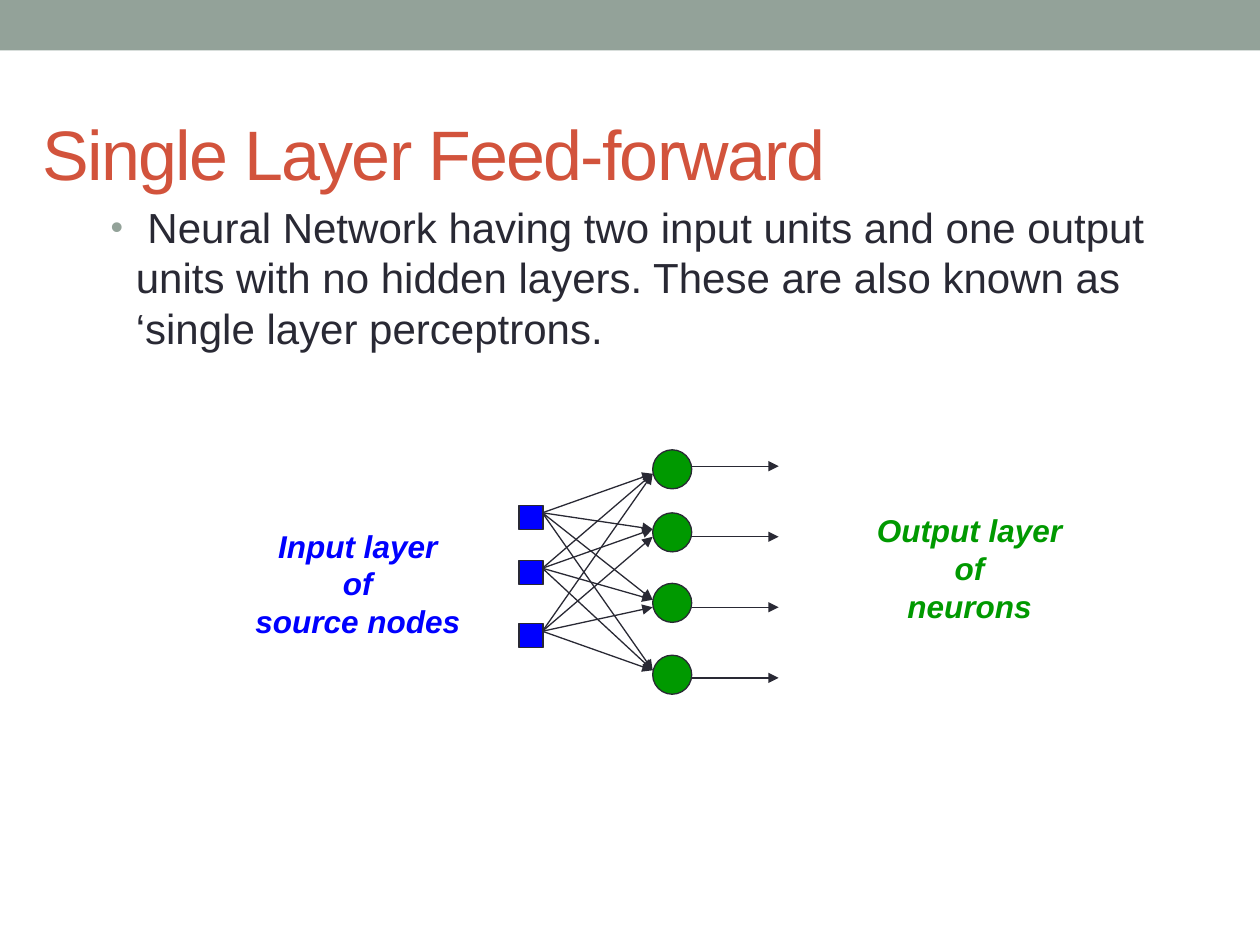
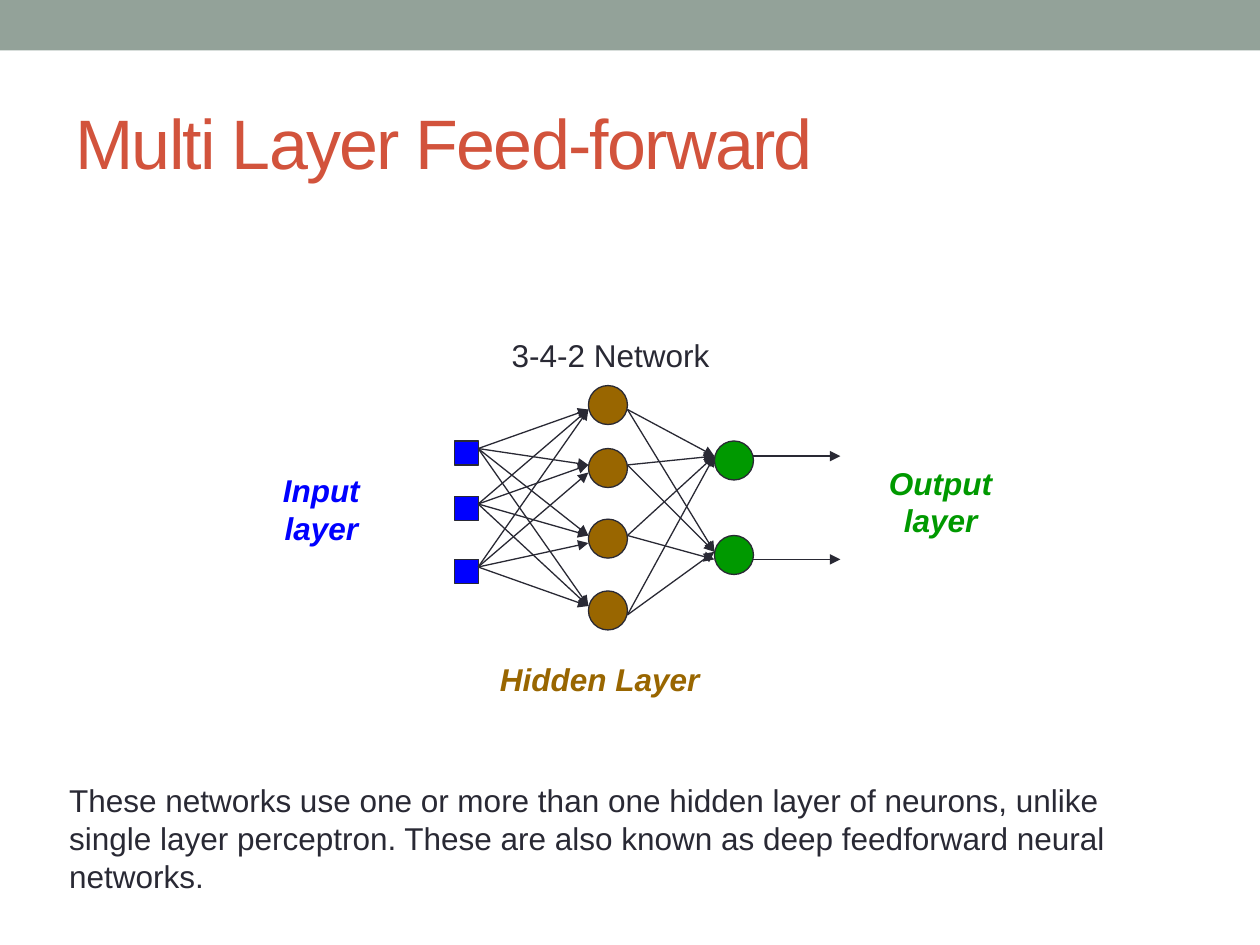
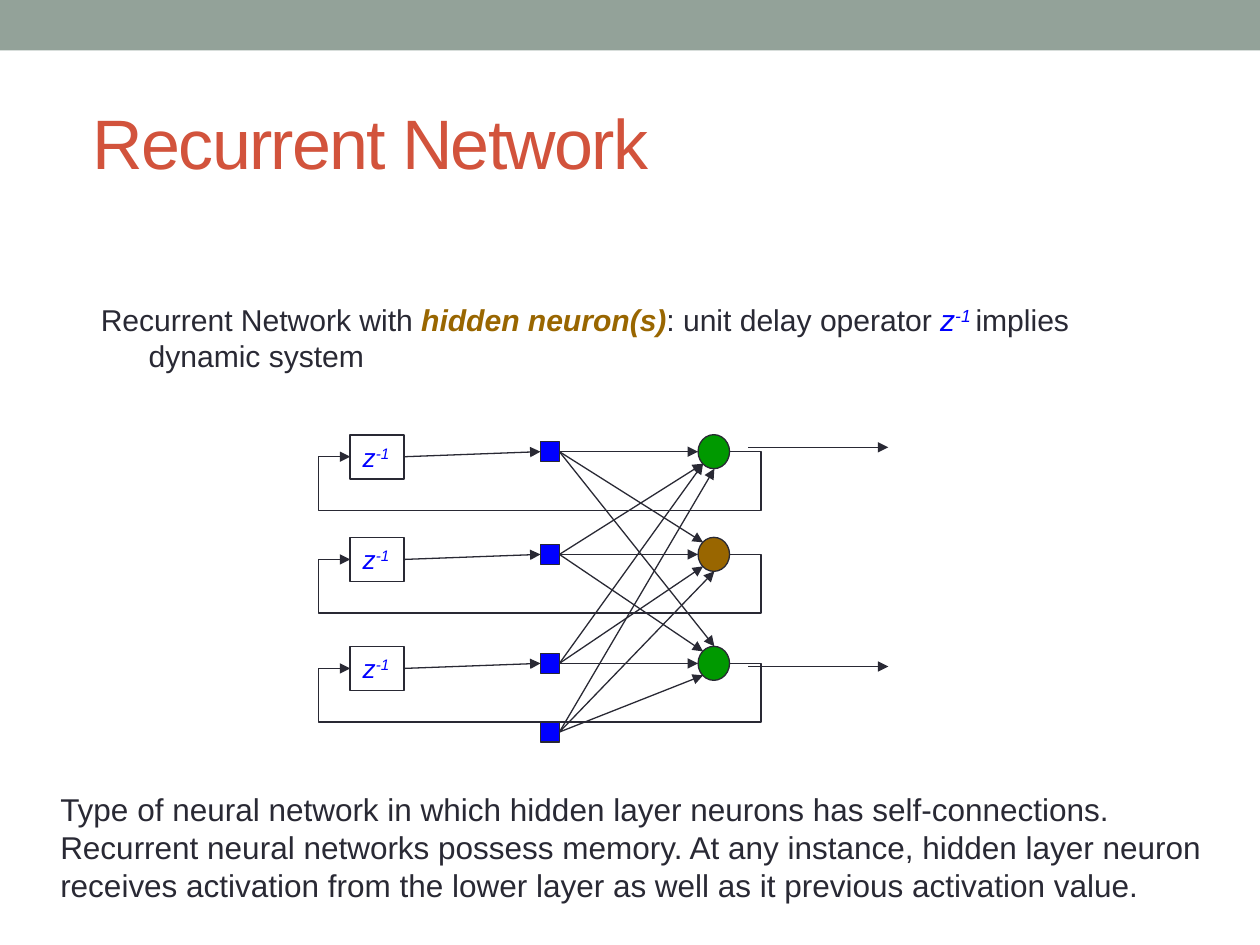
from itertools import product

from pptx import Presentation
from pptx.dml.color import RGBColor
from pptx.enum.shapes import MSO_CONNECTOR, MSO_SHAPE
from pptx.enum.text import MSO_ANCHOR, MSO_AUTO_SIZE, PP_ALIGN
from pptx.oxml.ns import qn
from pptx.util import Inches, Pt
from lxml.etree import SubElement

COLORS = {
    "band": "93A299",
    "title": "D2533C",
    "ink": "292934",
    "input": "0000FF",
    "hidden": "996600",
    "output": "009900",
}
COLUMNS, ROWS = 100, 75
FONT = "Arial"
DELAY = [("z", {}), ("-1", {"raised": True})]


class Deck:
    """Style and current slide; all lengths are grid columns and rows."""

    def __init__(self):
        self.presentation = Presentation()
        self.presentation.slide_width = Inches(10)
        self.presentation.slide_height = Inches(7.5)
        self.column = self.presentation.slide_width / COLUMNS
        self.row = self.presentation.slide_height / ROWS

    def place(self, x, y):
        return round(x * self.column), round(y * self.row)

    def start_slide(self, title, x, y):
        layout = self.presentation.slide_layouts[6]
        self.shapes = self.presentation.slides.add_slide(layout).shapes
        self.node(0, 0, COLUMNS, 4, "band", outline=None)
        heading = self.text(x, y, 90, 10.8, title, size=40, color="title")
        heading.vertical_anchor = MSO_ANCHOR.MIDDLE
        for run in heading.paragraphs[0].runs:
            run._r.get_or_add_rPr().set("spc", "-100")

    def style(self, font, color=None, size=None, bold=None, italic=None):
        if color:
            font.color.rgb = RGBColor.from_string(COLORS[color])
        if size:
            font.size = Pt(size)
            font.name = FONT
        if bold is not None:
            font.bold = bold
        if italic is not None:
            font.italic = italic

    def fill_paragraph(self, paragraph, content, **look):
        """Fill a paragraph from a string or from (words, differences) pairs."""
        self.style(paragraph.font, **look)
        pieces = [(content, {})] if isinstance(content, str) else content
        for words, differences in pieces:
            run = paragraph.add_run()
            run.text = words
            changes = dict(differences)
            if changes.pop("raised", False):
                run._r.get_or_add_rPr().set("baseline", "30000")
            self.style(run.font, **changes)

    def text(self, x, y, width, height, content, size=18, color="ink"):
        box = self.shapes.add_textbox(*self.place(x, y), *self.place(width, height))
        frame = box.text_frame
        frame.word_wrap = True
        self.fill_paragraph(frame.paragraphs[0], content, size=size, color=color)
        return frame

    def label(self, x, y, width, height, lines, color="ink", strong=True):
        """Centred lines that do not wrap, bold italic when strong."""
        box = self.shapes.add_textbox(*self.place(x, y), *self.place(width, height))
        frame = box.text_frame
        frame.word_wrap = False
        frame.auto_size = MSO_AUTO_SIZE.SHAPE_TO_FIT_TEXT
        for index, line in enumerate(lines):
            paragraph = frame.add_paragraph() if index else frame.paragraphs[0]
            paragraph.alignment = PP_ALIGN.CENTER
            self.fill_paragraph(paragraph, line, size=18, color=color,
                                bold=strong, italic=strong)

    def node(self, x, y, width, height, fill, kind=MSO_SHAPE.RECTANGLE, outline=0.75):
        shape = self.shapes.add_shape(kind, *self.place(x, y), *self.place(width, height))
        shape.shadow.inherit = False
        if fill:
            shape.fill.solid()
            shape.fill.fore_color.rgb = RGBColor.from_string(COLORS[fill])
        else:
            shape.fill.background()
        if outline:
            shape.line.color.rgb = RGBColor.from_string(COLORS["ink"])
            shape.line.width = Pt(outline)
        else:
            shape.line.fill.background()
        return shape

    def neuron(self, x, y, fill, width=3.1, height=3.1):
        self.node(x, y, width, height, fill, MSO_SHAPE.OVAL)

    def delay(self, x, y):
        frame = self.node(x, y, 4.3, 3.5, None, outline=1).text_frame
        frame.word_wrap = False
        frame.vertical_anchor = MSO_ANCHOR.TOP
        frame.paragraphs[0].alignment = PP_ALIGN.LEFT
        self.fill_paragraph(frame.paragraphs[0], DELAY, size=15, color="input", italic=True)

    def arrow(self, x1, y1, x2, y2, kind=MSO_CONNECTOR.STRAIGHT):
        connector = self.shapes.add_connector(kind, *self.place(x1, y1), *self.place(x2, y2))
        connector.line.color.rgb = RGBColor.from_string(COLORS["ink"])
        connector.line.width = Pt(0.75)
        properties = connector._element.spPr
        SubElement(properties.find(qn("a:ln")), qn("a:tailEnd"), type="triangle")
        SubElement(properties, qn("a:effectLst"))
        return connector

    def feedback(self, x1, y1, x2, y2, reach, drop):
        """Arrow that leaves to the right, drops, and returns from the left."""
        connector = self.arrow(x1, y1, x2, y2, MSO_CONNECTOR.ELBOW)
        geometry = connector._element.spPr.find(qn("a:prstGeom"))
        geometry.set("prst", "bentConnector5")
        guides = geometry.find(qn("a:avLst"))
        if guides is None:
            guides = SubElement(geometry, qn("a:avLst"))
        side = reach / (x1 - x2)
        for number, share in enumerate((-side, drop / (y2 - y1), 1 + side), 1):
            SubElement(guides, qn("a:gd"), name=f"adj{number}",
                       fmla=f"val {round(share * 100000)}")

    def input_stage(self, x, y, fill):
        """Three source nodes fully linked to four neurons; x, y is the top left."""
        for top in (0, 5, 10.6, 16.3):
            self.neuron(x + 10.6, y + top, fill)
        upper_ends, last_ends = (1.9, 6.3, 11.9, 17.5), (1.9, 6.9, 12.5, 17.5)
        for top, ends in ((4.4, upper_ends), (8.8, upper_ends), (13.8, last_ends)):
            self.node(x, y + top, 1.9, 1.9, "input")
            for end in ends:
                self.arrow(x + 1.85, y + top + 0.6, x + 10.6, y + end)


def single_layer(deck):
    deck.start_slide("Single Layer Feed-forward", 2.4, 6.7)
    frame = deck.text(
        7.8, 15.5, 84.6, 52.1,
        " Neural Network having two input units and one output units with no hidden "
        "layers. These are also known as ‘single layer perceptrons.", size=24)
    paragraph = frame.paragraphs[0]
    paragraph.space_before = Pt(4.8)
    properties = paragraph._p.get_or_add_pPr()
    properties.set("marL", str(Inches(0.2)))
    properties.set("indent", str(Inches(-0.2)))
    bullet_color = properties.makeelement(qn("a:buClr"), {})
    SubElement(bullet_color, qn("a:srgbClr"), val=COLORS["band"])
    bullet = [bullet_color,
              properties.makeelement(qn("a:buSzPct"), {"val": "85000"}),
              properties.makeelement(qn("a:buFont"), {"typeface": FONT}),
              properties.makeelement(qn("a:buChar"), {"char": "•"})]
    defaults = properties.find(qn("a:defRPr"))
    for part in bullet:
        defaults.addprevious(part)

    # Network and its outputs
    deck.label(19.2, 41.3, 18.4, 10.1, ["Input layer", "of", "source nodes"], "input")
    deck.label(68.5, 40.1, 16.9, 10.1, ["Output layer", "of", "neurons"], "output")
    deck.input_stage(41.2, 35.7, "output")
    for step in range(4):
        y = 37 + 5.6 * step
        deck.arrow(54.9, y, 61.8, y)


def multi_layer(deck):
    deck.start_slide("Multi Layer Feed-forward", 5, 5.8)
    deck.label(21.4, 36.9, 8.2, 7.1, ["Input", "layer"], "input")
    deck.label(69.5, 36.3, 10.3, 7.1, ["Output", "layer"], "output")
    deck.label(38.6, 51.9, 18, 4, ["Hidden Layer"], "hidden")
    deck.label(39.5, 26.2, 17.9, 4, ["3-4-2 Network"], strong=False)

    # Hidden stage, then output stage
    deck.input_stage(36.1, 30.6, "hidden")
    for top, exit_row in ((35, 36.2), (42.5, 44.4)):
        deck.neuron(56.7, top, "output")
        deck.arrow(59.8, exit_row, 66.7, exit_row)
    for start, lower_end in ((32.5, 43.8), (36.9, 43.8), (42.5, 44.4), (48.8, 43.8)):
        for end in (36.2, lower_end):
            deck.arrow(49.8, start, 56.7, end)

    deck.text(4.5, 61.5, 90.8, 10.1,
              "These networks use one or more than one hidden layer of neurons, unlike "
              "single layer perceptron. These are also known as deep feedforward neural "
              "networks.")


def recurrent(deck):
    deck.start_slide(" Recurrent Network", 5, 5.8)
    marked = {"color": "input", "italic": True}
    frame = deck.text(7.3, 23.5, 85.5, 5.6, [
        ("Recurrent Network with ", {}),
        ("hidden neuron(s)", {"color": "hidden", "bold": True, "italic": True}),
        (": unit delay operator ", {}),
        ("z", marked),
        ("-1 ", {**marked, "raised": True}),
        ("implies dynamic system", {}),
    ], size=17.2)
    frame.margin_left = frame.margin_right = Inches(0.07)
    frame.margin_top = frame.margin_bottom = Inches(0.04)
    paragraph = frame.paragraphs[0]
    paragraph.space_before = Pt(3.4)
    properties = paragraph._p.get_or_add_pPr()
    properties.set("marL", str(Inches(0.38)))
    properties.set("indent", str(Inches(-0.38)))

    # Each loop: delay, source node, neuron and the way back
    centers = (35.85, 44, 52.65)
    for center, fill in zip(centers, ("output", "hidden", "output")):
        deck.neuron(55.4, center - 1.35, fill, 2.5, 2.7)
        deck.delay(27.8, center - 1.35)
        deck.arrow(32.1, center + 0.4, 42.9, center)
        deck.feedback(57.9, center, 27.8, center + 0.4, reach=2.5, drop=4.65)

    # Links end at a neuron's side, its corner or its pole
    sources = (*centers, 58.1)
    for source in sources:
        deck.node(42.9, source - 0.8, 1.5, 1.6, "input")
    at_pole = {(0, 2), (3, 0), (3, 1)}
    for source, target in product(range(4), range(3)):
        toward = (source > target) - (source < target)
        if not toward:
            x, rise = 55.4, 0
        elif (source, target) in at_pole:
            x, rise = 56.7, 1.35
        else:
            x, rise = 55.8, 0.95
        deck.arrow(44.4, sources[source], x, centers[target] + toward * rise)
    for y in (35.5, 52.9):
        deck.arrow(59.4, y, 70.5, y)

    deck.text(3.8, 62.2, 93.5, 10.1,
              "Type of neural network in which hidden layer neurons has self-connections. "
              "Recurrent neural networks possess memory. At any instance, hidden layer "
              "neuron receives activation from the lower layer as well as it previous "
              "activation value.")


def main():
    deck = Deck()
    for build in (single_layer, multi_layer, recurrent):
        build(deck)
    deck.presentation.save("out.pptx")


if __name__ == "__main__":
    main()
